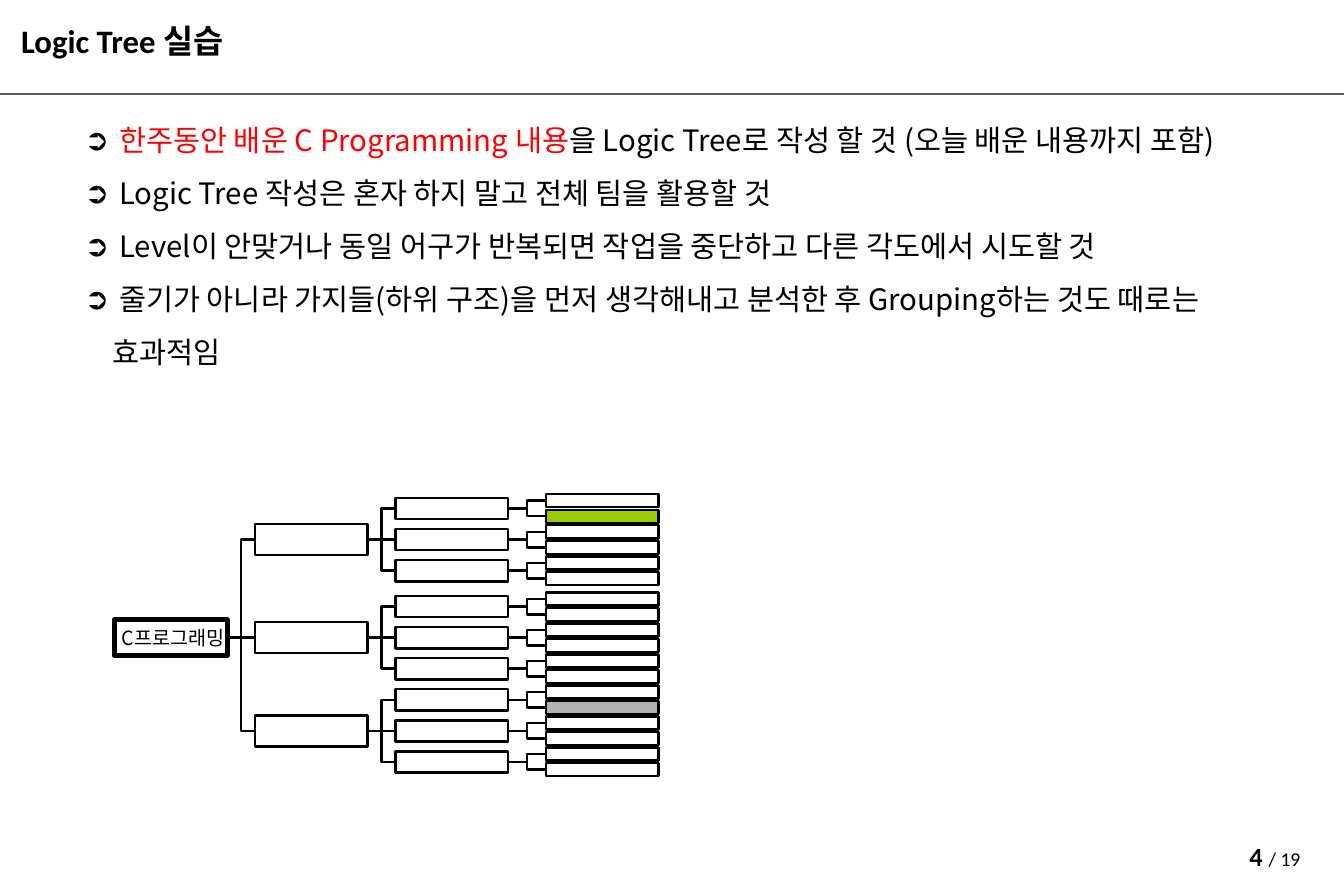
from dataclasses import dataclass

from lxml import etree
from pptx import Presentation
from pptx import util as u
from pptx.dml import color
from pptx.enum import shapes, text
from pptx.oxml import ns

COLORS = {
    "black": "000000",
    "red": "FF0000",
    "rule": "595959",
    "green": "99CC00",
    "gray": "B2B2B2",
}
LATIN = "Calibri"
KOREAN = "Noto Sans CJK KR"

NODE_WIDTH = 69
BRANCH_CENTERS = (330, 390, 447)
TWIG_PITCH = 19
LEAF_OFFSET = TWIG_PITCH / 4
LEAF_FILLS = {(0, 0, 1): "green", (2, 0, 1): "gray"}


@dataclass(frozen=True)
class Level:
    left: float
    height: float
    line_width: float = 1.5


@dataclass(frozen=True)
class Span:
    words: str
    size: float
    font: str
    color: str = "black"
    bold: bool = False


ROOT = Level(70, 22, 3)
BRANCH = Level(156, 19)
TWIG = Level(242, 13)
LEAF = Level(334, 8)

BODY_LINES = [
    [
        (" ", "black"),
        ("한주동안 배운 C Programming 내용", "red"),
        ("을 Logic Tree로 작성 할 것 (오늘 배운 내용까지 포함)", "black"),
    ],
    [(" Logic Tree 작성은 혼자 하지 말고 전체 팀을 활용할 것", "black")],
    [(" Level이 안맞거나 동일 어구가 반복되면 작업을 중단하고 다른 각도에서 시도할 것", "black")],
    [
        (
            " 줄기가 아니라 가지들(하위 구조)을 먼저 생각해내고 분석한 후 "
            "Grouping하는 것도 때로는 효과적임",
            "black",
        )
    ],
]


def rgb(name: str) -> color.RGBColor:
    return color.RGBColor.from_string(COLORS[name])


def add_span(para, span: Span) -> None:
    run = para.add_run()
    run.text = span.words
    font = run.font
    font.size = u.Pt(span.size)
    font.bold = span.bold
    font.color.rgb = rgb(span.color)
    font.name = span.font
    east = etree.SubElement(font._element, ns.qn("a:ea"))
    east.set("typeface", span.font)


def place(box, left: float, top: float, width: float, height: float) -> None:
    box.left, box.top = u.Pt(left), u.Pt(top)
    box.width, box.height = u.Pt(width), u.Pt(height)


def set_frame(frame, anchor, side: float, edge: float, wrap: bool = True) -> None:
    frame.auto_size = text.MSO_AUTO_SIZE.NONE
    frame.vertical_anchor = anchor
    frame.word_wrap = wrap
    frame.margin_left = frame.margin_right = u.Pt(side)
    frame.margin_top = frame.margin_bottom = u.Pt(edge)


def set_bullet(para, character: str, indent: float) -> None:
    properties = para._p.get_or_add_pPr()
    properties.set("marL", str(u.Pt(indent)))
    properties.set("indent", str(-u.Pt(indent)))
    tint = etree.SubElement(properties, ns.qn("a:buClr"))
    etree.SubElement(tint, ns.qn("a:srgbClr")).set("val", COLORS["black"])
    etree.SubElement(properties, ns.qn("a:buChar")).set("char", character)


def add_line(page, kind, start: tuple, end: tuple, ink: str):
    line = page.shapes.add_connector(kind, *(u.Pt(value) for value in start + end))
    line.line.color.rgb = rgb(ink)
    line.line.width = u.Pt(1.5)
    etree.SubElement(line._element.spPr, ns.qn("a:effectLst"))
    return line


def add_node(page, level: Level, center: float, fill: str | None = None):
    node = page.shapes.add_shape(
        shapes.MSO_SHAPE.RECTANGLE,
        u.Pt(level.left),
        u.Pt(center - level.height / 2),
        u.Pt(NODE_WIDTH),
        u.Pt(level.height),
    )
    node.shadow.inherit = False
    if fill:
        node.fill.solid()
        node.fill.fore_color.rgb = rgb(fill)
    else:
        node.fill.background()
    node.line.color.rgb = rgb("black")
    node.line.width = u.Pt(level.line_width)
    return node


def join(page, parent, child) -> None:
    start = parent.left.pt + parent.width.pt, parent.top.pt + parent.height.pt / 2
    end = child.left.pt, child.top.pt + child.height.pt / 2
    is_level = abs(start[1] - end[1]) < 0.1
    kind = shapes.MSO_CONNECTOR.STRAIGHT if is_level else shapes.MSO_CONNECTOR.ELBOW
    line = add_line(page, kind, start, end, "black")
    line.begin_connect(parent, 3)
    line.end_connect(child, 1)


def add_tree(page) -> None:
    root = add_node(page, ROOT, BRANCH_CENTERS[1])
    set_frame(root.text_frame, text.MSO_ANCHOR.MIDDLE, 7.2, 3.6, wrap=False)
    para = root.text_frame.paragraphs[0]
    para.alignment = text.PP_ALIGN.CENTER
    add_span(para, Span(" C프로그래밍", 12, KOREAN))
    for group, branch_center in enumerate(BRANCH_CENTERS):
        branch = add_node(page, BRANCH, branch_center)
        join(page, root, branch)
        for row in range(3):
            twig_center = branch_center + (row - 1) * TWIG_PITCH
            twig = add_node(page, TWIG, twig_center)
            join(page, branch, twig)
            for side in range(2):
                leaf_center = twig_center + (2 * side - 1) * LEAF_OFFSET
                fill = LEAF_FILLS.get((group, row, side))
                join(page, twig, add_node(page, LEAF, leaf_center, fill))


def add_title(page) -> None:
    title = page.shapes.title
    place(title, 5.76, 6.5, 368, 31.7)
    set_frame(title.text_frame, text.MSO_ANCHOR.BOTTOM, 7.2, 1.44)
    para = title.text_frame.paragraphs[0]
    para.alignment = text.PP_ALIGN.LEFT
    add_span(para, Span("Logic Tree 실습", 20, LATIN, bold=True))


def add_body(page) -> None:
    body = page.placeholders[1]
    place(body, 44.64, 60.5, 735, 430.5)
    frame = body.text_frame
    set_frame(frame, text.MSO_ANCHOR.TOP, 7.2, 3.6)
    for index, pieces in enumerate(BODY_LINES):
        para = frame.add_paragraph() if index else frame.paragraphs[0]
        set_bullet(para, "➲", 17)
        para.space_before = u.Pt(0)
        para.line_spacing = u.Pt(32.4)
        for words, ink in pieces:
            add_span(para, Span(words, 18, KOREAN, ink))


def add_page_number(page) -> None:
    box = page.shapes.add_textbox(u.Pt(740), u.Pt(510.5), u.Pt(80), u.Pt(17.3))
    set_frame(box.text_frame, text.MSO_ANCHOR.TOP, 7.2, 3.6)
    para = box.text_frame.paragraphs[0]
    para.alignment = text.PP_ALIGN.CENTER
    add_span(para, Span("4 ", 16, LATIN, bold=True))
    add_span(para, Span("/ 19", 12, LATIN))


def main() -> None:
    deck = Presentation()
    deck.slide_width, deck.slide_height = u.Pt(822.24), u.Pt(540)
    page = deck.slides.add_slide(deck.slide_layouts[1])
    add_line(page, shapes.MSO_CONNECTOR.STRAIGHT, (0, 57.6), (822.24, 57.6), "rule")
    add_title(page)
    add_body(page)
    add_tree(page)
    add_page_number(page)
    deck.save("out.pptx")


if __name__ == "__main__":
    main()
